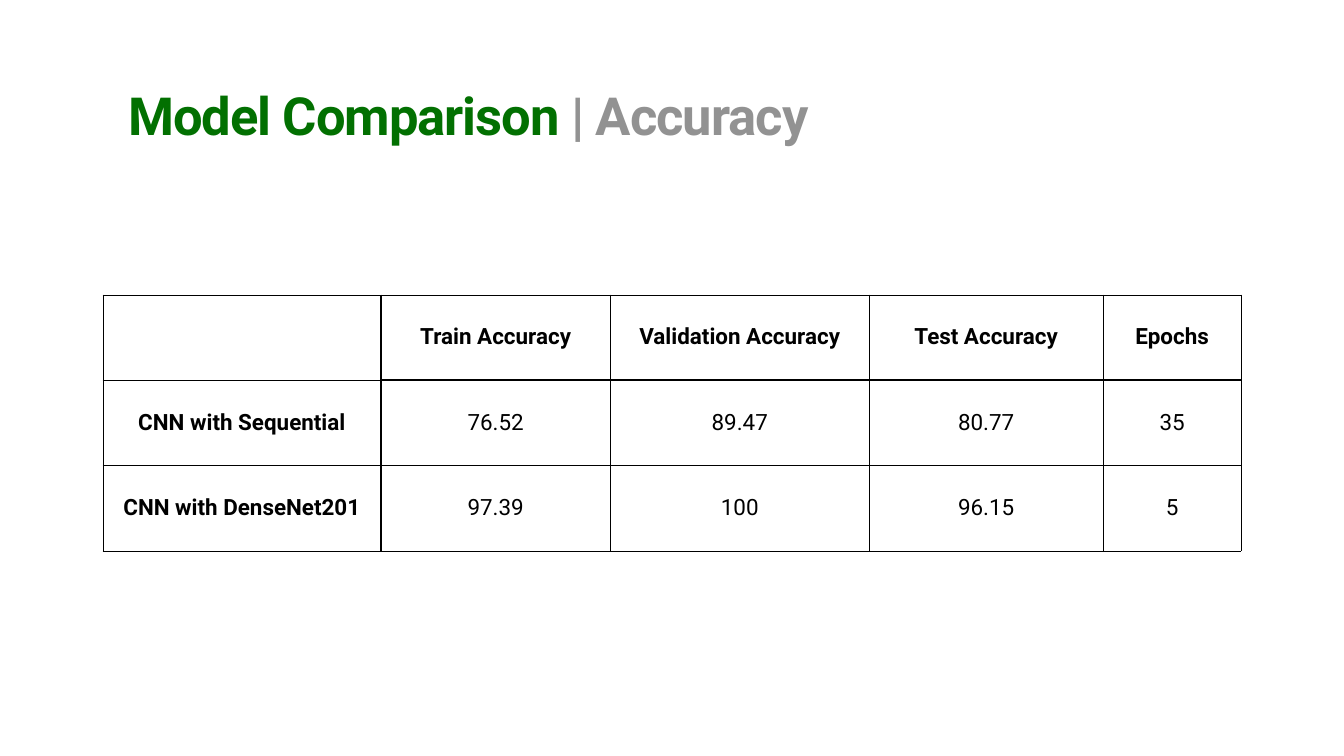
"""Build the model comparison slide with its accuracy table."""
from dataclasses import dataclass

from lxml.etree import SubElement
from pptx import Presentation
from pptx.dml.color import RGBColor as RGB
from pptx.enum.text import MSO_ANCHOR as Anchor, PP_ALIGN as Align
from pptx.oxml.ns import qn
from pptx.util import Pt


@dataclass(frozen=True)
class Theme:
    font: str = "Roboto"
    green: RGB = RGB(0x02, 0x70, 0x01)
    grey: RGB = RGB(0x92, 0x92, 0x92)
    black: RGB = RGB(0, 0, 0)
    title_size: float = 75
    cell_size: float = 32
    title_tracking: float = -1.5
    inset: float = 4
    thin: float = 1
    thick: float = 3


@dataclass(frozen=True)
class Box:
    left: float
    top: float
    width: float
    height: float


@dataclass(frozen=True)
class Run:
    text: str
    size: float
    color: RGB
    bold: bool = False
    tracking: float = 0


THEME = Theme()
TITLE_BOX = Box(179.28, 132.48, 1079.28, 113.04)
COLUMN_WIDTHS = (397.5, 327.5, 370, 334, 197.3)
ROW_HEIGHT = 122
TABLE_LEFT, TABLE_TOP = 146.88, 421.2
ROWS = (
    ("", "Train Accuracy", "Validation Accuracy", "Test Accuracy", "Epochs"),
    ("CNN with Sequential", "76.52", "89.47", "80.77", "35"),
    ("CNN with DenseNet201", "97.39", "100", "96.15", "5"),
)


def add_run(p, run: Run) -> None:
    r = p.add_run()
    r.text = run.text
    r.font.name = THEME.font
    r.font.size = Pt(run.size)
    r.font.bold = run.bold
    r.font.color.rgb = run.color
    if run.tracking:
        r._r.get_or_add_rPr().set("spc", str(round(run.tracking * 100)))


def set_insets(holder) -> None:
    holder.margin_left = holder.margin_right = Pt(THEME.inset)
    holder.margin_top = holder.margin_bottom = Pt(THEME.inset)


def add_title(s, box: Box, runs: tuple[Run, ...]) -> None:
    sp = s.shapes.add_textbox(Pt(box.left), Pt(box.top), Pt(box.width), Pt(box.height))
    tf = sp.text_frame
    tf.word_wrap = True
    set_insets(tf)
    p = tf.paragraphs[0]
    p.line_spacing = 0.8
    for run in runs:
        add_run(p, run)


def set_border(cell, side: str, width: float) -> None:
    ln = SubElement(cell._tc.get_or_add_tcPr(), qn(f"a:{side}"), w=str(Pt(width)))
    fill = SubElement(ln, qn("a:solidFill"))
    SubElement(fill, qn("a:srgbClr"), val=str(THEME.black))


def set_borders(cell, row: int, col: int) -> None:
    thick_sides = {
        "lnL": col == 1,
        "lnR": col == 0,
        "lnT": row == 1 and col > 0,
        "lnB": row == 0 and col > 0,
    }
    for side, is_thick in thick_sides.items():
        set_border(cell, side, THEME.thick if is_thick else THEME.thin)


def fill_cell(cell, text: str, row: int, col: int) -> None:
    set_insets(cell)
    cell.vertical_anchor = Anchor.MIDDLE
    set_borders(cell, row, col)
    cell.fill.background()
    p = cell.text_frame.paragraphs[0]
    p.alignment = Align.CENTER
    p.line_spacing = 0.9
    if text:
        add_run(p, Run(text, THEME.cell_size, THEME.black, bold=row == 0 or col == 0))


def add_accuracy_table(s) -> None:
    frame = s.shapes.add_table(
        len(ROWS), len(COLUMN_WIDTHS), Pt(TABLE_LEFT), Pt(TABLE_TOP),
        Pt(sum(COLUMN_WIDTHS)), Pt(ROW_HEIGHT * len(ROWS)),
    )
    table = frame.table
    table.first_row = table.horz_banding = False
    for column, width in zip(table.columns, COLUMN_WIDTHS):
        column.width = Pt(width)
    for row, texts in enumerate(ROWS):
        table.rows[row].height = Pt(ROW_HEIGHT)
        for col, text in enumerate(texts):
            fill_cell(table.cell(row, col), text, row, col)


def main() -> None:
    prs = Presentation()
    prs.slide_width, prs.slide_height = Pt(1920), Pt(1080)
    s = prs.slides.add_slide(prs.slide_layouts[6])
    size, tracking = THEME.title_size, THEME.title_tracking
    add_title(s, TITLE_BOX, (
        Run("Model Comparison ", size, THEME.green, True, tracking),
        Run("| Accuracy", size, THEME.grey, True, tracking),
    ))
    add_accuracy_table(s)
    prs.save("out.pptx")


if __name__ == "__main__":
    main()
